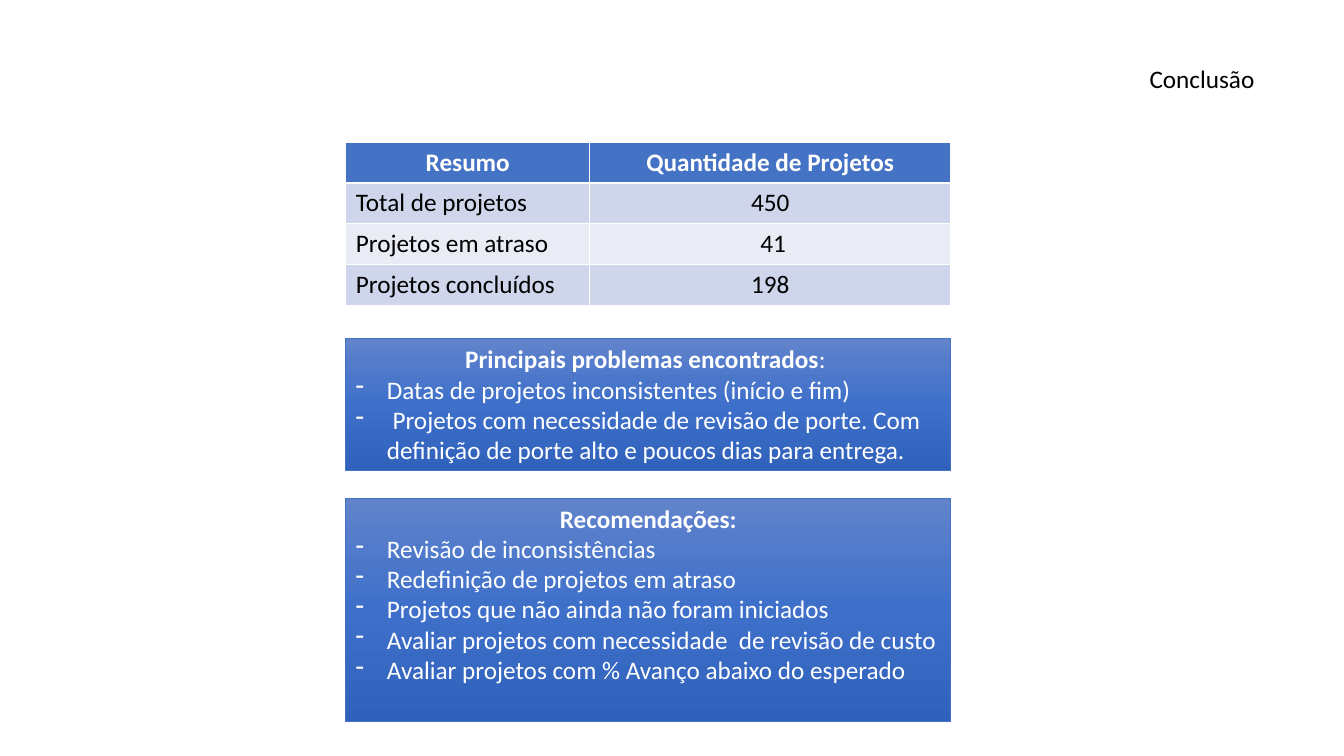
from copy import deepcopy

from pptx import Presentation
from pptx.dml.color import RGBColor
from pptx.enum.shapes import MSO_SHAPE
from pptx.enum.text import MSO_ANCHOR, PP_ALIGN
from pptx.oxml.ns import qn
from pptx.oxml.xmlchemy import OxmlElement
from pptx.util import Inches, Pt

BLACK = RGBColor(0x00, 0x00, 0x00)
WHITE = RGBColor(0xFF, 0xFF, 0xFF)
BLUE = RGBColor(0x44, 0x72, 0xC4)
BANDS = (RGBColor(0xCF, 0xD5, 0xEA), RGBColor(0xE9, 0xEB, 0xF5))
GRADIENT = (
    (0, RGBColor(0x61, 0x83, 0xCB)),
    (0.5, RGBColor(0x3E, 0x70, 0xCA)),
    (1, RGBColor(0x30, 0x62, 0xBB)),
)

COLUMN_LEFT, COLUMN_WIDTH = 3.43, 6
SUMMARY = (
    ("Resumo", "Quantidade de Projetos"),
    ("Total de projetos", "450"),
    ("Projetos em atraso", " 41"),
    ("Projetos concluídos", "198"),
)
PROBLEMS = (
    "Datas de projetos inconsistentes (início e fim)",
    " Projetos com necessidade de revisão de porte. "
    "Com definição de porte alto e poucos dias para entrega.",
)
RECOMMENDATIONS = (
    "Revisão de inconsistências",
    "Redefinição de projetos em atraso",
    "Projetos que não ainda não foram iniciados",
    "Avaliar projetos com necessidade  de revisão de custo",
    "Avaliar projetos com % Avanço abaixo do esperado",
)


def style_paragraph(paragraph, color, alignment, bold=False):
    paragraph.alignment = alignment
    font = paragraph.font
    font.name, font.size, font.bold = "Calibri", Pt(18), bold
    font.color.rgb = color


def add_dash_bullet(paragraph):
    properties = paragraph._p.get_or_add_pPr()
    properties.set("marL", str(Inches(0.31)))
    properties.set("indent", str(-Inches(0.31)))
    bullet = OxmlElement("a:buChar")
    bullet.set("char", "-")
    properties.insert_element_before(bullet, "a:tabLst", "a:defRPr", "a:extLst")


def fill_gradient(shape):
    """Fill the shape from top to bottom with the GRADIENT stops."""
    shape.fill.gradient()
    stop_list = shape._element.spPr.find(".//" + qn("a:gsLst"))
    stop_list.append(deepcopy(stop_list[0]))
    for stop, (position, color) in zip(shape.fill.gradient_stops, GRADIENT):
        stop.position = position
        stop.color.rgb = color
    shape.fill.gradient_angle = 270


def add_title(slide, left, top, width, height):
    box = slide.shapes.add_textbox(Inches(left), Inches(top), Inches(width), Inches(height))
    box.text_frame.word_wrap = True
    paragraph = box.text_frame.paragraphs[0]
    paragraph.text = "Conclusão"
    style_paragraph(paragraph, BLACK, PP_ALIGN.RIGHT)


def add_summary_table(slide, left, top, width, height):
    table = slide.shapes.add_table(
        len(SUMMARY), 2, Inches(left), Inches(top), Inches(width), Inches(height)
    ).table
    label_width = 2.42
    table.columns[0].width = Inches(label_width)
    table.columns[1].width = Inches(width - label_width)
    for row, texts in enumerate(SUMMARY):
        is_header = row == 0
        for column, text in enumerate(texts):
            cell = table.cell(row, column)
            cell.text = text
            cell.fill.solid()
            cell.fill.fore_color.rgb = BLUE if is_header else BANDS[(row - 1) % 2]
            centred = is_header or column == 1
            style_paragraph(
                cell.text_frame.paragraphs[0],
                WHITE if is_header else BLACK,
                PP_ALIGN.CENTER if centred else PP_ALIGN.LEFT,
                bold=is_header,
            )


def add_list_panel(slide, left, top, width, height, heading, items, alignment, suffix=""):
    """Add a gradient panel with a bold heading, a plain suffix and dashed items."""
    panel = slide.shapes.add_shape(
        MSO_SHAPE.RECTANGLE, Inches(left), Inches(top), Inches(width), Inches(height)
    )
    panel.shadow.inherit = False
    fill_gradient(panel)
    panel.line.color.rgb = BLUE
    panel.line.width = Pt(0.5)

    frame = panel.text_frame
    frame.word_wrap = True
    frame.vertical_anchor = MSO_ANCHOR.TOP
    title = frame.paragraphs[0]
    title.text = heading
    style_paragraph(title, WHITE, PP_ALIGN.CENTER, bold=True)
    if suffix:
        run = title.add_run()
        run.text = suffix
        run.font.bold = False
    for item in items:
        paragraph = frame.add_paragraph()
        paragraph.text = item
        style_paragraph(paragraph, WHITE, alignment)
        add_dash_bullet(paragraph)


def main():
    presentation = Presentation()
    presentation.slide_width = Inches(13.33)
    presentation.slide_height = Inches(7.5)
    slide = presentation.slides.add_slide(presentation.slide_layouts[6])

    add_title(slide, 5.61, 0.58, 6.93, 0.4)
    add_summary_table(slide, COLUMN_LEFT, 1.41, COLUMN_WIDTH, 1.62)
    add_list_panel(
        slide, COLUMN_LEFT, 3.36, COLUMN_WIDTH, 1.31,
        "Principais problemas encontrados", PROBLEMS, PP_ALIGN.LEFT, suffix=": ",
    )
    add_list_panel(
        slide, COLUMN_LEFT, 4.94, COLUMN_WIDTH, 2.22,
        "Recomendações:", RECOMMENDATIONS, PP_ALIGN.JUSTIFY,
    )
    presentation.save("out.pptx")


if __name__ == "__main__":
    main()
